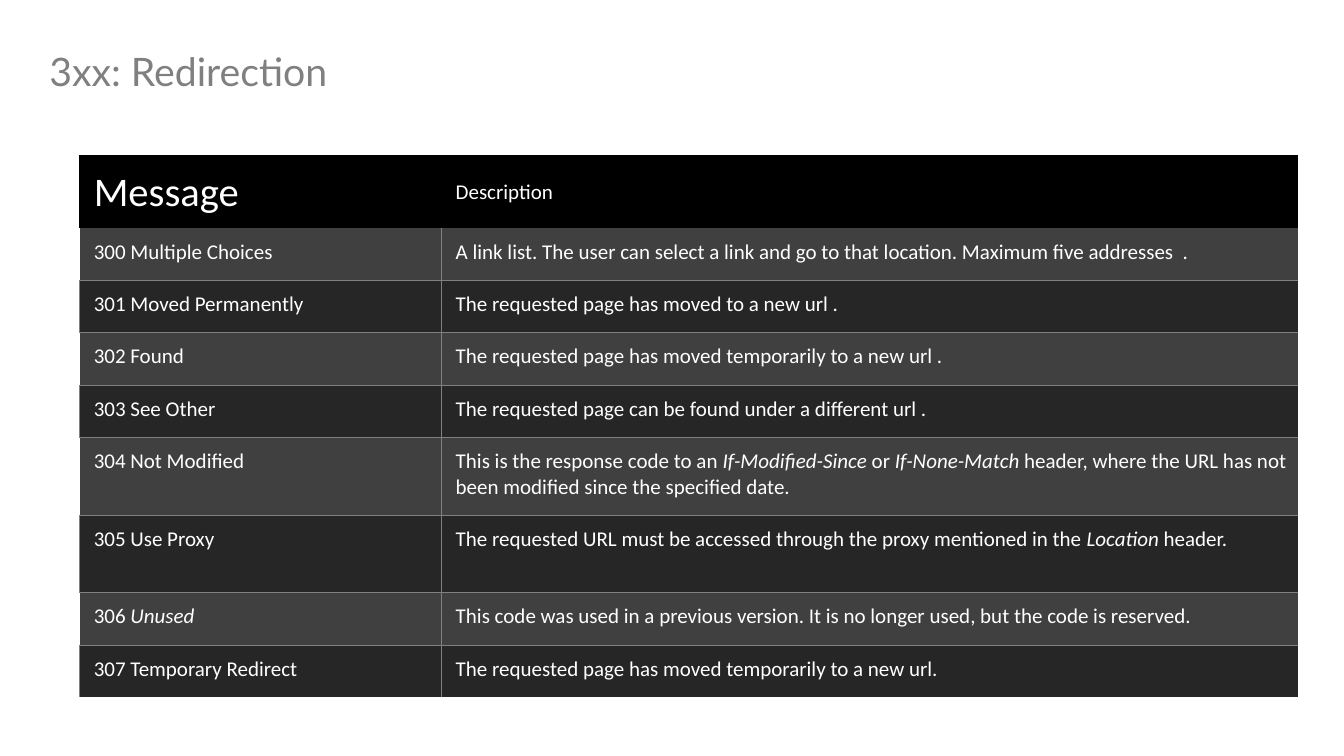
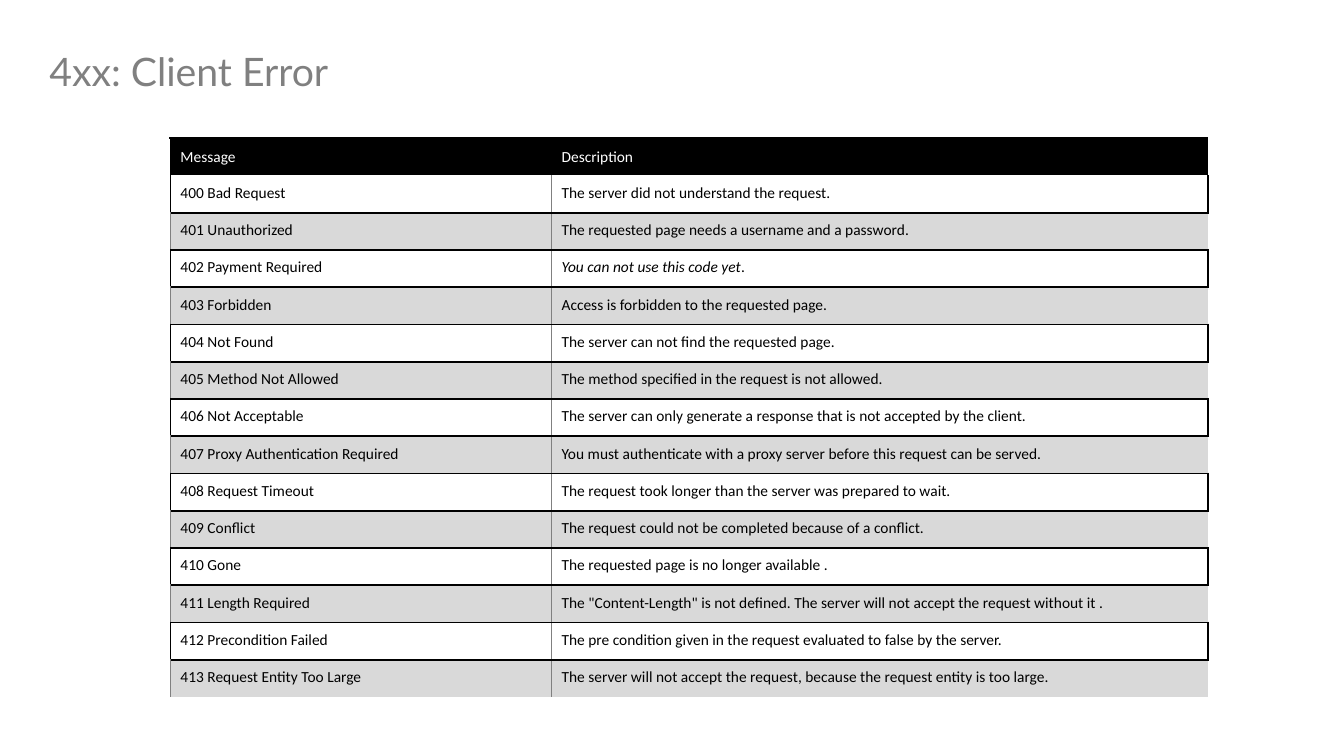
from pptx import Presentation
from pptx.dml.color import RGBColor
from pptx.enum.text import MSO_ANCHOR as Anchor, MSO_AUTO_SIZE as AutoSize, PP_ALIGN as Align
from pptx.oxml import parse_xml
from pptx.oxml.ns import nsdecls
from pptx.util import Inches, Pt

COLORS = {
    "title": "808080",
    "black": "000000",
    "white": "FFFFFF",
    "rule": "808080",
    "charcoal": "404040",
    "coal": "262626",
    "silver": "D9D9D9",
}
TITLE_FONT, TABLE_FONT = "Lato", "Calibri"
PLAIN_TABLE_STYLE = "{2D5ABB26-0587-4C30-8999-92F81FD0307C}"
THICK, HAIR = ("black", 1.5), ("rule", 0.5)

# Row styles: fill, text colour, edges of the left cell, edges of the right cell
DARK_STYLES = {
    "header": ("black", "white", dict(L=THICK, T=THICK), dict(T=THICK)),
    "odd": ("charcoal", "white", dict(R=HAIR, B=HAIR), dict(L=HAIR, B=HAIR)),
    "even": ("coal", "white", dict(L=HAIR, R=HAIR, T=HAIR), dict(L=HAIR, T=HAIR)),
}
LIGHT_STYLES = {
    "header": ("black", "white", dict(L=THICK, R=THICK, T=THICK), dict(L=THICK, T=THICK)),
    "odd": (None, "black", dict(L=THICK, R=HAIR, B=THICK), dict(L=HAIR, R=THICK, B=THICK)),
    "even": ("silver", "black", dict(L=HAIR, R=HAIR, T=THICK), dict(L=HAIR, T=THICK)),
}

# Asterisks enclose italic words
REDIRECTION = [
    ("Message", "Description"),
    ("300 Multiple Choices",
     "A link list. The user can select a link and go to that location. Maximum five addresses  ."),
    ("301 Moved Permanently", "The requested page has moved to a new url ."),
    ("302 Found", "The requested page has moved temporarily to a new url ."),
    ("303 See Other", "The requested page can be found under a different url ."),
    ("304 Not Modified",
     "This is the response code to an *If-Modified-Since* or *If-None-Match* header, "
     "where the URL has not been modified since the specified date."),
    ("305 Use Proxy",
     "The requested URL must be accessed through the proxy mentioned in the *Location* header."),
    ("306 *Unused*",
     "This code was used in a previous version. It is no longer used, but the code is reserved."),
    ("307 Temporary Redirect", "The requested page has moved temporarily to a new url."),
]
CLIENT_ERROR = [
    ("Message", "Description"),
    ("400 Bad Request", "The server did not understand the request."),
    ("401 Unauthorized", "The requested page needs a username and a password."),
    ("402 Payment Required", "*You can not use this code yet*."),
    ("403 Forbidden", "Access is forbidden to the requested page."),
    ("404 Not Found", "The server can not find the requested page."),
    ("405 Method Not Allowed", "The method specified in the request is not allowed."),
    ("406 Not Acceptable",
     "The server can only generate a response that is not accepted by the client."),
    ("407 Proxy Authentication Required",
     "You must authenticate with a proxy server before this request can be served."),
    ("408 Request Timeout", "The request took longer than the server was prepared to wait."),
    ("409 Conflict", "The request could not be completed because of a conflict."),
    ("410 Gone", "The requested page is no longer available ."),
    ("411 Length Required",
     'The "Content-Length" is not defined. The server will not accept the request without it .'),
    ("412 Precondition Failed",
     "The pre condition given in the request evaluated to false by the server."),
    ("413 Request Entity Too Large",
     "The server will not accept the request, because the request entity is too large."),
]

PAGES = [
    dict(title="3xx: Redirection", rows=REDIRECTION, styles=DARK_STYLES,
         left=0.79, top=1.55, widths=(3.59, 8.49), row_height=0.52, tall_rows={5: 0.77, 6: 0.77},
         size=15, first_size=29, insets=(0.14, 0.11, 0.03)),
    dict(title="4xx: Client Error", rows=CLIENT_ERROR, styles=LIGHT_STYLES,
         left=1.69, top=1.37, widths=(3.78, 6.51), row_height=0.37, tall_rows={},
         size=11, first_size=11, insets=(0.1, 0.08, 0.02)),
]


def add_span(para, text, font, size, color, italic=False):
    span = para.add_run()
    span.text = text
    span.font.name = font
    span.font.size = Pt(size)
    span.font.bold = False
    span.font.italic = italic
    span.font.color.rgb = RGBColor.from_string(COLORS[color])


def draw_edges(cell, edges):
    """Add the cell's borders; call before its fill is set, as the schema orders them so."""
    properties = cell._tc.get_or_add_tcPr()
    for side in "LRTB":
        if side in edges:
            color, width = edges[side]
            properties.append(parse_xml(
                f'<a:ln{side} {nsdecls("a")} w="{Pt(width)}"><a:solidFill>'
                f'<a:srgbClr val="{COLORS[color]}"/></a:solidFill></a:ln{side}>'))


deck = Presentation()
deck.slide_width, deck.slide_height = Inches(13.33), Inches(7.5)
title_only = deck.slide_layouts[5]

for content in PAGES:
    page = deck.slides.add_slide(title_only)

    title = page.shapes.title
    title.left, title.top = Inches(0.39), Inches(0.3)
    title.width, title.height = Inches(10.32), Inches(0.87)
    title.text_frame.auto_size = AutoSize.NONE
    title.text_frame.vertical_anchor = Anchor.MIDDLE
    para = title.text_frame.paragraphs[0]
    para.alignment = Align.LEFT
    para.line_spacing = 0.9
    para.space_after = Pt(6)
    add_span(para, content["title"], TITLE_FONT, 28, "title")

    rows, widths = content["rows"], content["widths"]
    heights = [content["tall_rows"].get(i, content["row_height"]) for i in range(len(rows))]
    table = page.shapes.add_table(
        len(rows), len(widths), Inches(content["left"]), Inches(content["top"]),
        Inches(sum(widths)), Inches(sum(heights))).table
    table.first_row = True
    table.horz_banding = False
    table._tbl.tblPr[0].text = PLAIN_TABLE_STYLE
    for column, width in zip(table.columns, widths):
        column.width = Inches(width)

    inset_left, inset_y, inset_right = content["insets"]
    for row_index, texts in enumerate(rows):
        table.rows[row_index].height = Inches(heights[row_index])
        kind = "header" if row_index == 0 else "odd" if row_index % 2 else "even"
        fill, color, *edges = content["styles"][kind]
        for column_index, text in enumerate(texts):
            cell = table.cell(row_index, column_index)
            cell.margin_left, cell.margin_right = Inches(inset_left), Inches(inset_right)
            cell.margin_top = cell.margin_bottom = Inches(inset_y)
            cell.vertical_anchor = Anchor.MIDDLE if kind == "header" else Anchor.TOP
            draw_edges(cell, edges[column_index])
            if fill:
                cell.fill.solid()
                cell.fill.fore_color.rgb = RGBColor.from_string(COLORS[fill])
            else:
                cell.fill.background()

            is_first = row_index == column_index == 0
            size = content["first_size"] if is_first else content["size"]
            para = cell.text_frame.paragraphs[0]
            for part_index, part in enumerate(text.split("*")):
                if part:
                    add_span(para, part, TABLE_FONT, size, color, italic=part_index % 2 == 1)

deck.save("out.pptx")
